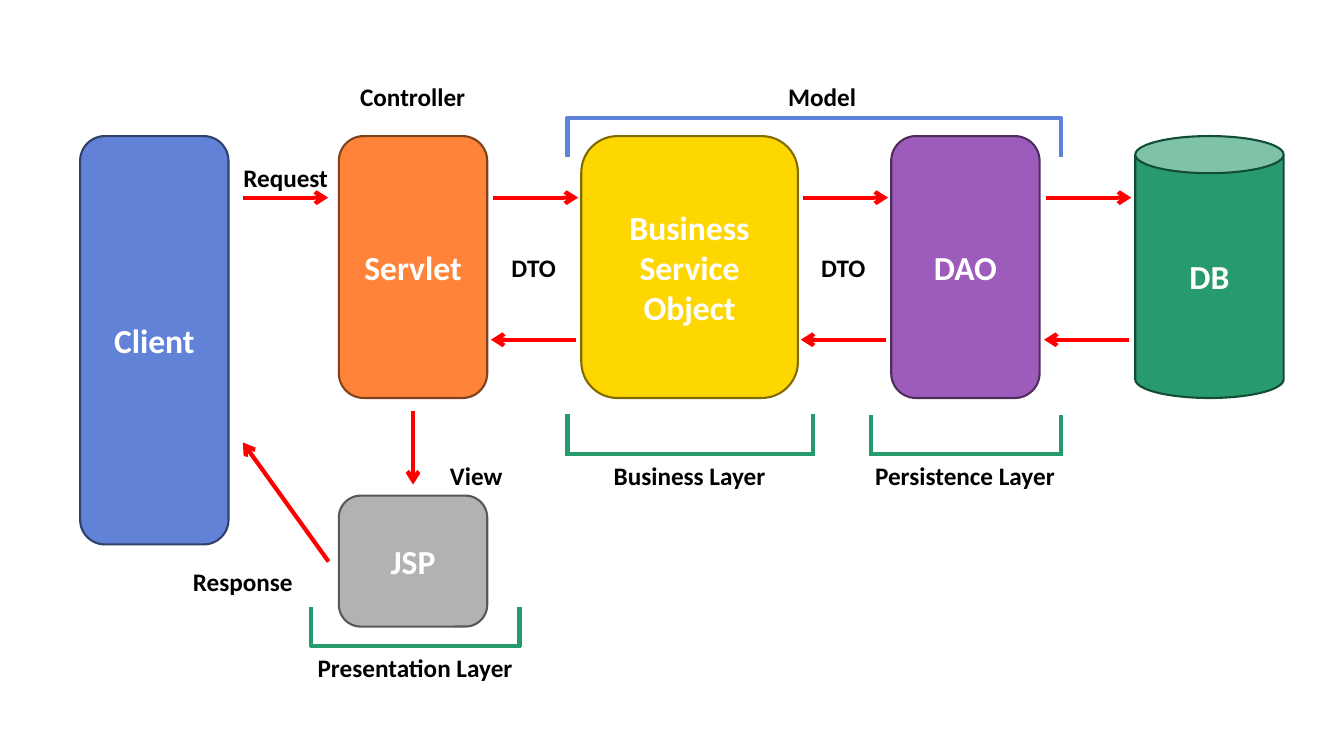
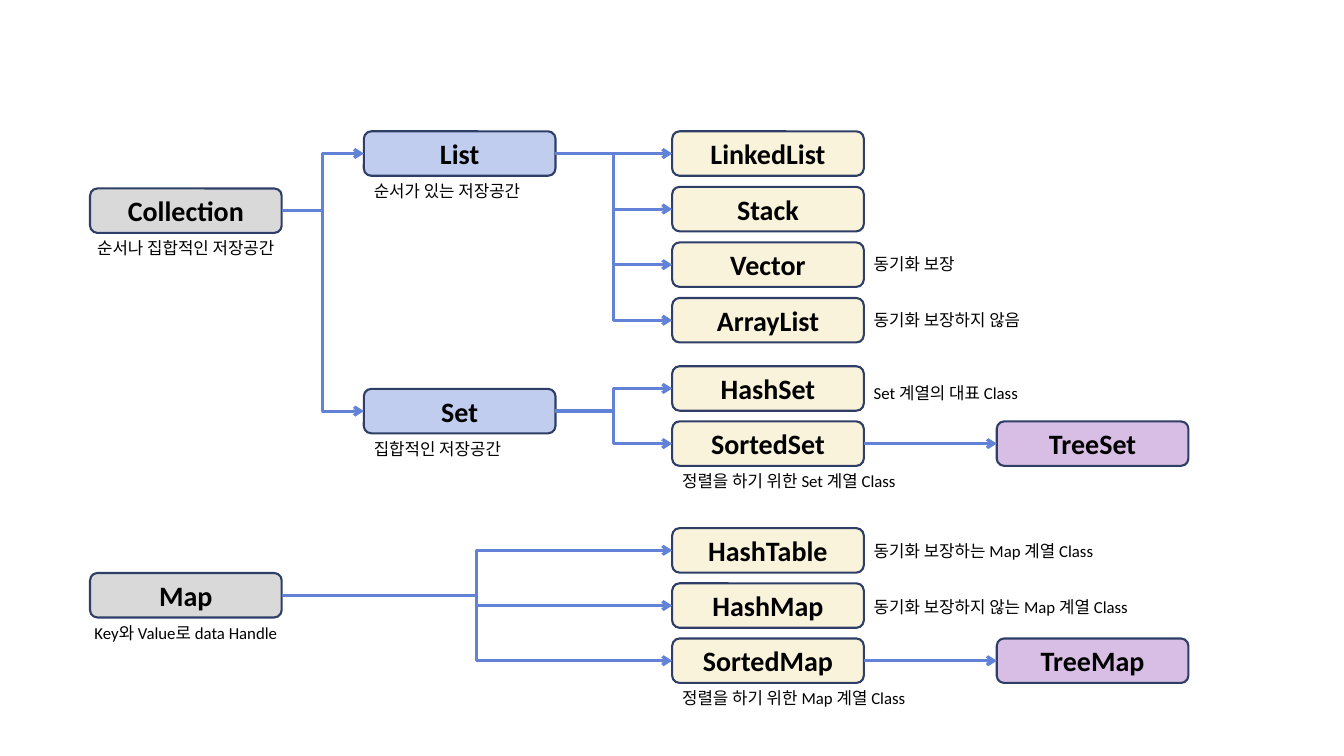
from itertools import pairwise

from lxml.etree import SubElement
from pptx import Presentation
from pptx.dml.color import RGBColor
from pptx.enum.shapes import MSO_CONNECTOR, MSO_SHAPE
from pptx.enum.text import MSO_ANCHOR, MSO_AUTO_SIZE, PP_ALIGN
from pptx.oxml.ns import qn
from pptx.util import Cm, Pt

FONT = "Calibri"
WHITE, BLACK, RED = "FFFFFF", "000000", "FF0000"
BLUE, GREEN, BRACKET_BLUE = "6182D6", "289B6E", "5E81D9"
GREY, PALE_BLUE, CREAM, LILAC = "D9D9D9", "C0CDEF", "FAF3DB", "D8BEE4"
NODE_LINE = "2E3E67"

TIER_TOP, TIER_WIDTH, TIER_HEIGHT = 3.43, 3.74, 6.6
CALL_Y, RETURN_Y, CALL_LENGTH = 4.98, 8.56, 2.15
NODE_WIDTH, NODE_HEIGHT = 4.83, 1.12
ROOT_X, BRANCH_X, LEAF_X, TREE_X = 2.27, 9.17, 16.94, 25.12


def rgb(value):
    """Turn a hex string into a colour."""
    return RGBColor.from_string(value)


def set_line(line, color, width):
    """Give a line its colour and width."""
    line.color.rgb = rgb(color)
    line.width = Pt(width)


def write(frame, text, size, color, bold=True, align=PP_ALIGN.CENTER):
    """Fill a text frame with evenly formatted paragraphs."""
    frame.word_wrap = True
    frame.text = text
    for paragraph in frame.paragraphs:
        paragraph.alignment = align
        font = paragraph.font
        font.name, font.size, font.bold = FONT, Pt(size), bold
        font.color.rgb = rgb(color)


def add_box(slide, text, left, top, width, height, fill, outline, size,
            color=WHITE, preset=MSO_SHAPE.ROUNDED_RECTANGLE):
    """Draw an outlined shape with a centred bold caption."""
    box = slide.shapes.add_shape(
        preset, Cm(left), Cm(top), Cm(width), Cm(height))
    box.shadow.inherit = False
    box.fill.solid()
    box.fill.fore_color.rgb = rgb(fill)
    set_line(box.line, outline, 1.5)
    box.text_frame.vertical_anchor = MSO_ANCHOR.MIDDLE
    write(box.text_frame, text, size, color)
    return box


def add_text(slide, text, left, top, width, height, size, bold,
             align=PP_ALIGN.CENTER):
    """Place free-standing black text."""
    frame = slide.shapes.add_textbox(
        Cm(left), Cm(top), Cm(width), Cm(height)).text_frame
    frame.auto_size = MSO_AUTO_SIZE.SHAPE_TO_FIT_TEXT
    write(frame, text, size, BLACK, bold, align)


def add_label(slide, text, center, top, width=3.18):
    """Place a bold label centred on a given x."""
    add_text(slide, text, center - width / 2, top, width, 1.02, 18, True)


def add_line(shapes, start, end, color, width, kind=MSO_CONNECTOR.STRAIGHT):
    """Draw a plain line between two points in centimetres."""
    line = shapes.add_connector(
        kind, *(Cm(value) for value in (*start, *end)))
    set_line(line.line, color, width)
    SubElement(line._element.spPr, qn("a:effectLst"))
    return line


def add_arrow(slide, start, end, color, width, kind=MSO_CONNECTOR.STRAIGHT):
    """Draw a line with an arrowhead at its end."""
    arrow = add_line(slide.shapes, start, end, color, width, kind)
    SubElement(arrow.line._get_or_add_ln(), qn("a:tailEnd"), type="arrow")
    return arrow


def add_bracket(slide, left, right, base, tip, color):
    """Group three lines into a bracket whose ends reach the tip level."""
    group = slide.shapes.add_group_shape()
    overlap = 0.03 if base > tip else -0.03
    add_line(group.shapes, (left, base + overlap), (left, tip), color, 3)
    add_line(group.shapes, (left - 0.03, base), (right + 0.03, base),
             color, 3)
    add_line(group.shapes, (right, base + overlap), (right, tip), color, 3)


def add_node(slide, text, left, top, fill):
    """Draw one type of the collection hierarchy."""
    return add_box(slide, text, left, top, NODE_WIDTH, NODE_HEIGHT,
                   fill, NODE_LINE, 20, BLACK)


def add_leaves(slide, names, top, pitch=1.39):
    """Stack the nodes of one family in the leaf column."""
    return [add_node(slide, name, LEAF_X, top + i * pitch, CREAM)
            for i, name in enumerate(names)]


def link(slide, parent, children):
    """Join a parent's right side to the left side of each child."""
    for child in children:
        level = parent.top == child.top
        kind = MSO_CONNECTOR.STRAIGHT if level else MSO_CONNECTOR.ELBOW
        arrow = add_arrow(slide, (0, 0), (1, 1), BLUE, 2.25, kind)
        arrow.begin_connect(parent, 3)
        arrow.end_connect(child, 1)


def note_below(slide, node, text, align=PP_ALIGN.LEFT):
    """Describe a node underneath it."""
    width, left = 6.6, node.left.cm
    if align == PP_ALIGN.CENTER:
        left += (NODE_WIDTH - width) / 2
    add_text(slide, text, left, node.top.cm + NODE_HEIGHT, width, 0.75,
             12, False, align)


def note_beside(slide, node, text, drop=0.17):
    """Describe a node to its right."""
    add_text(slide, text, node.left.cm + NODE_WIDTH, node.top.cm + drop,
             7.4, 0.75, 12, False, PP_ALIGN.LEFT)


def build_architecture(slide):
    """Show the layers of a web application."""
    tiers = [
        ("Client", 2.02, TIER_TOP, TIER_WIDTH, 10.29, BLUE, "30416A"),
        ("Servlet", 8.54, TIER_TOP, TIER_WIDTH, TIER_HEIGHT,
         "FF843A", "7F421D"),
        ("JSP", 8.54, 12.49, TIER_WIDTH, TIER_HEIGHT / 2,
         "B2B2B2", "585858"),
        ("Business\nService\nObject", 14.65, TIER_TOP, 5.46, TIER_HEIGHT,
         "FFD700", "7F6B00"),
        ("DAO", 22.46, TIER_TOP, TIER_WIDTH, TIER_HEIGHT,
         "9D5CBB", "4E2E5D"),
    ]
    for tier in tiers:
        add_box(slide, *tier, 24)
    add_box(slide, "DB", 28.61, TIER_TOP, TIER_WIDTH, TIER_HEIGHT,
            GREEN, "144D37", 24, preset=MSO_SHAPE.CAN)

    routes = [((6.12, CALL_Y), (6.12 + CALL_LENGTH, CALL_Y)),
              ((8.28, 14.15), (6.12, 11.15)),
              ((10.41, 10.36), (10.41, 12.21))]
    for x in (12.42, 20.23, 26.36):
        routes.append(((x, CALL_Y), (x + CALL_LENGTH, CALL_Y)))
        routes.append(((x - 0.05 + CALL_LENGTH, RETURN_Y),
                       (x - 0.05, RETURN_Y)))
    for start, end in routes:
        add_arrow(slide, start, end, RED, 3)

    for bracket in [(14.3, 26.73, 2.97, 3.96, BRACKET_BLUE),
                    (7.83, 13.09, 16.28, 15.29, GREEN),
                    (14.3, 20.48, 11.45, 10.44, GREEN),
                    (21.94, 26.73, 11.45, 10.45, GREEN)]:
        add_bracket(slide, *bracket)

    for label in [("Controller", 10.4, 1.93), ("Model", 20.72, 1.93),
                  ("Request", 7.2, 3.96), ("Response", 6.12, 14.15),
                  ("DTO", 13.45, 6.24), ("DTO", 21.25, 6.24),
                  ("View", 12, 11.48),
                  ("Business Layer", 17.38, 11.48, 6.32),
                  ("Persistence Layer", 24.32, 11.48, 5.51),
                  ("Presentation Layer", 10.46, 16.31, 6.32)]:
        add_label(slide, *label)


def build_collections(slide):
    """Show the hierarchy of collection types."""
    collection = add_node(slide, "Collection", ROOT_X, 4.75, GREY)
    list_node = add_node(slide, "List", BRANCH_X, 3.31, PALE_BLUE)
    set_node = add_node(slide, "Set", BRANCH_X, 9.8, PALE_BLUE)
    map_node = add_node(slide, "Map", ROOT_X, 14.44, GREY)
    lists = add_leaves(
        slide, ["LinkedList", "Stack", "Vector", "ArrayList"], 3.31, 1.4)
    sets = add_leaves(slide, ["HashSet", "SortedSet"], 9.23)
    maps = add_leaves(slide, ["HashTable", "HashMap", "SortedMap"], 13.31)
    tree_set = add_node(slide, "TreeSet", TREE_X, sets[-1].top.cm, LILAC)
    tree_map = add_node(slide, "TreeMap", TREE_X, maps[-1].top.cm, LILAC)

    for parent, children in [(collection, [list_node, set_node]),
                             (list_node, lists), (set_node, sets),
                             (map_node, maps), (sets[-1], [tree_set]),
                             (maps[-1], [tree_map])]:
        link(slide, parent, children)

    note_below(slide, collection, "순서나 집합적인 저장공간",
               PP_ALIGN.CENTER)
    note_below(slide, map_node, "Key와 Value로 data Handle",
               PP_ALIGN.CENTER)
    note_below(slide, list_node, "순서가 있는 저장공간")
    note_below(slide, set_node, "집합적인 저장공간")
    note_below(slide, sets[-1], "정렬을 하기 위한 Set 계열 Class")
    note_below(slide, maps[-1], "정렬을 하기 위한 Map 계열 Class")
    note_beside(slide, lists[2], "동기화 보장")
    note_beside(slide, lists[3], "동기화 보장하지 않음")
    note_beside(slide, sets[0], "Set 계열의 대표 Class", drop=0.28)
    note_beside(slide, maps[0], "동기화 보장하는 Map 계열 Class", drop=0.2)
    note_beside(slide, maps[1], "동기화 보장하지 않는 Map 계열 Class",
                drop=0.2)


def main():
    """Build and save the presentation."""
    deck = Presentation()
    deck.slide_width, deck.slide_height = Cm(33.87), Cm(19.05)
    blank = deck.slide_layouts[6]
    for build in (build_architecture, build_collections):
        build(deck.slides.add_slide(blank))
    deck.save("out.pptx")


if __name__ == "__main__":
    main()
